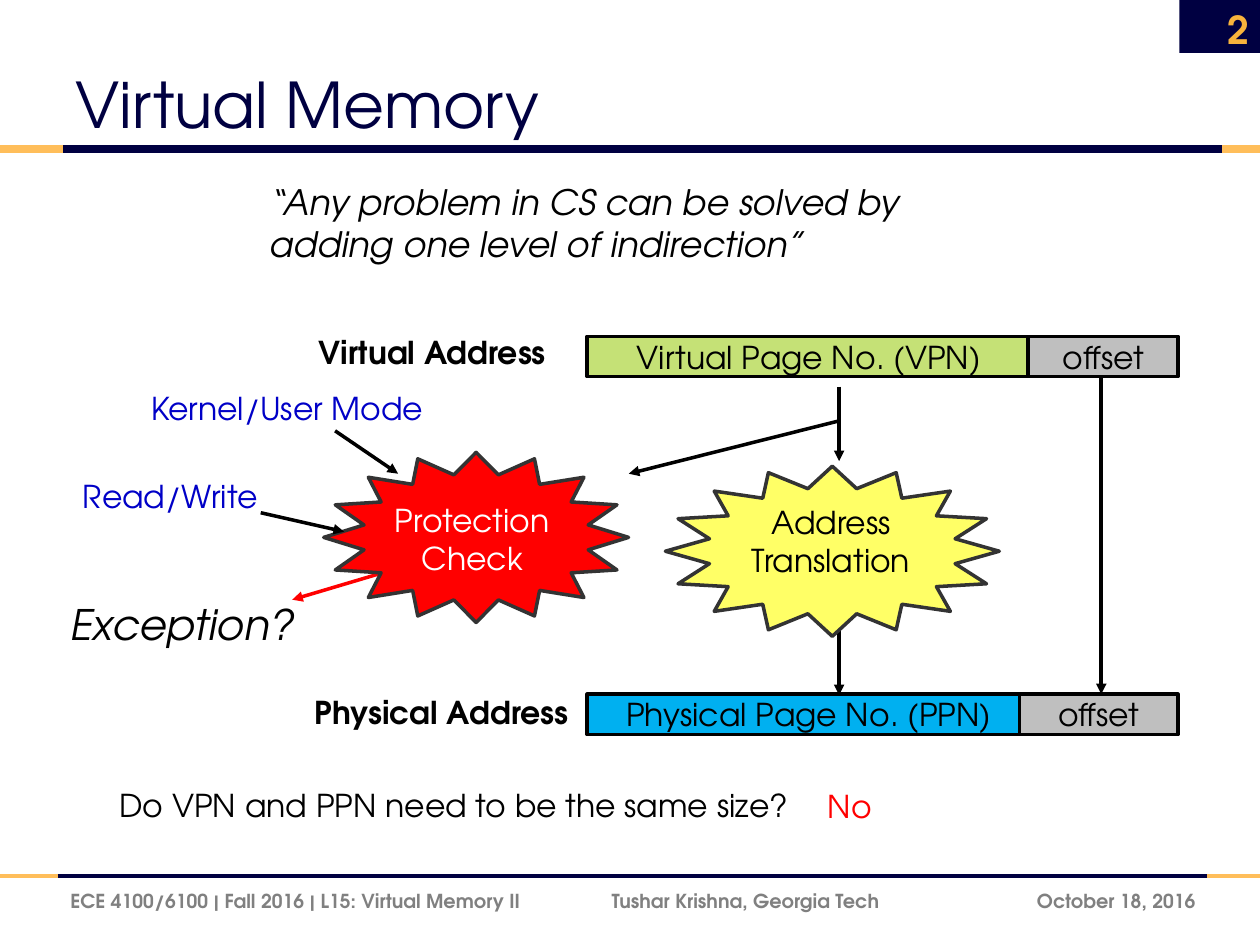
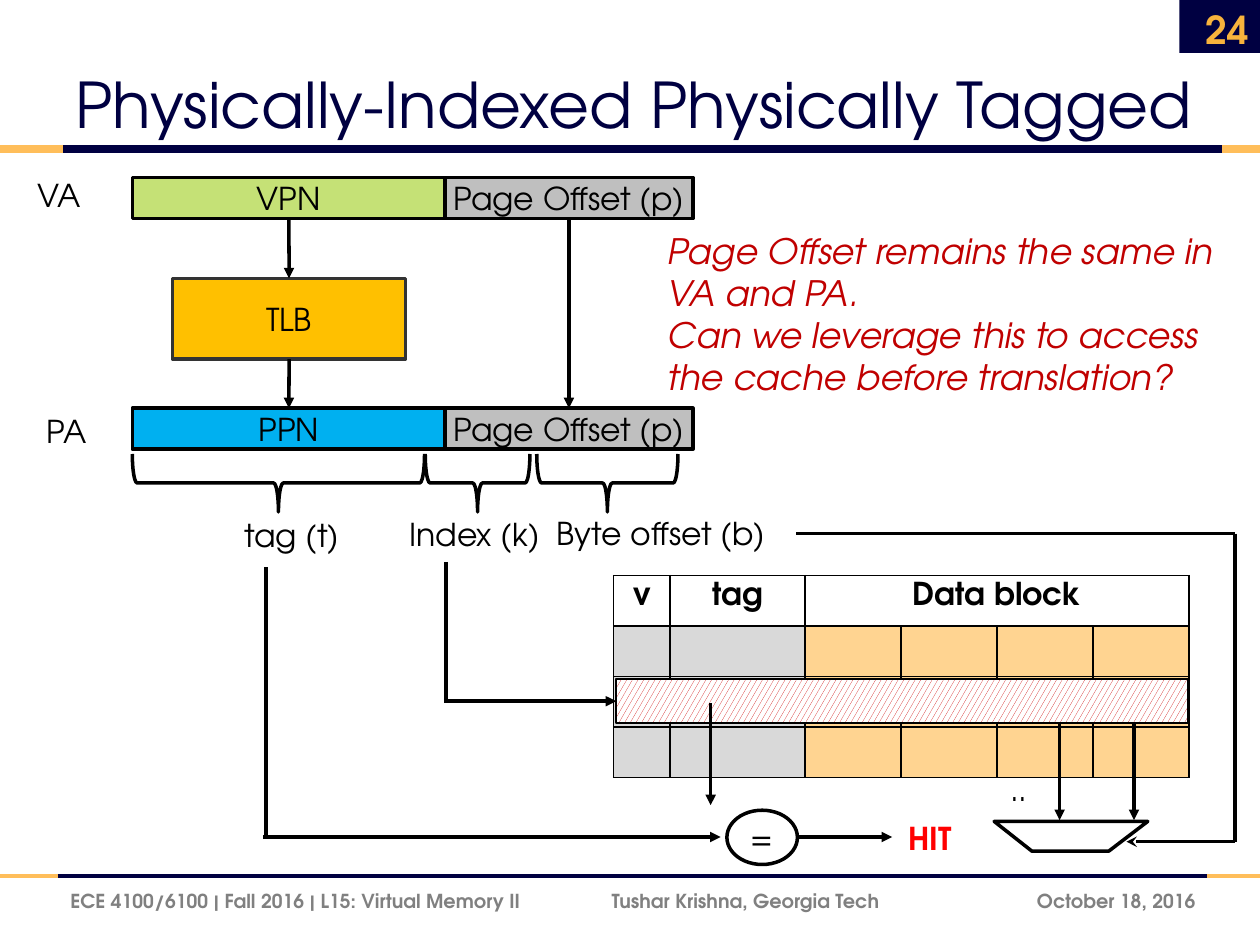
from itertools import pairwise

from lxml.etree import SubElement
from pptx import Presentation
from pptx.dml.color import RGBColor
from pptx.enum.dml import MSO_PATTERN
from pptx.enum.shapes import MSO_CONNECTOR, MSO_SHAPE as SHAPE
from pptx.enum.text import MSO_ANCHOR as ANCHOR, PP_ALIGN as ALIGN
from pptx.oxml.ns import qn
from pptx.util import Pt

FONT = "TeX Gyre Adventor"
NAVY = RGBColor(0x00, 0x00, 0x41)
GOLD = RGBColor(0xFF, 0xBE, 0x5A)
NUMBER_GOLD = RGBColor(0xF8, 0xB3, 0x3C)
FOOTER_GRAY = RGBColor(0x80, 0x80, 0x80)
BLACK = RGBColor(0x00, 0x00, 0x00)
WHITE = RGBColor(0xFF, 0xFF, 0xFF)
DARK = RGBColor(0x33, 0x33, 0x33)
RED = RGBColor(0xFF, 0x00, 0x00)
DEEP_RED = RGBColor(0xC0, 0x00, 0x00)
BLUE = RGBColor(0x00, 0x00, 0xC7)
GREEN = RGBColor(0xC5, 0xE1, 0x76)
SKY = RGBColor(0x00, 0xB0, 0xF0)
GRAY = RGBColor(0xBF, 0xBF, 0xBF)
YELLOW = RGBColor(0xFF, 0xFF, 0x66)
AMBER = RGBColor(0xFF, 0xC0, 0x00)
TAG_GRAY = RGBColor(0xD9, 0xD9, 0xD9)
DATA_ORANGE = RGBColor(0xFF, 0xD4, 0x91)
HATCH_RED = RGBColor(0xD0, 0x10, 0x10)

TOP, LEFT, BOTTOM = 0, 1, 2  # connection sites of a rectangle


def write(tf, text, size=18, color=BLACK, bold=False, italic=False,
          align=ALIGN.LEFT, anchor=ANCHOR.TOP, wrap=True):
    """Fill a text frame; each line of the text becomes a paragraph."""
    tf.word_wrap = wrap
    tf.vertical_anchor = anchor
    for i, words in enumerate(text.split("\n")):
        p = tf.add_paragraph() if i else tf.paragraphs[0]
        p.alignment = align
        r = p.add_run()
        r.text = words
        f = r.font
        f.name, f.size, f.bold, f.italic = FONT, Pt(size), bold, italic
        f.color.rgb = color


def label(s, text, x, y, w, h=28.8, **fmt):
    write(s.shapes.add_textbox(Pt(x), Pt(y), Pt(w), Pt(h)).text_frame, text, **fmt)


def outline(sp, fill, color=BLACK, width=2):
    sp.shadow.inherit = False
    if fill is None:
        sp.fill.background()
    else:
        sp.fill.solid()
        sp.fill.fore_color.rgb = fill
    if color is None:
        sp.line.fill.background()
    else:
        sp.line.color.rgb = color
        sp.line.width = Pt(width)


def box(s, x, y, w, h, fill, text="", kind=SHAPE.RECTANGLE, line_color=BLACK):
    sp = s.shapes.add_shape(kind, Pt(x), Pt(y), Pt(w), Pt(h))
    outline(sp, fill, line_color)
    if text:
        write(sp.text_frame, text, align=ALIGN.CENTER, anchor=ANCHOR.MIDDLE, wrap=False)
    return sp


def star(s, x, y, w, fill):
    sp = box(s, x, y, w, 97.2, fill, kind=SHAPE.STAR_16_POINT, line_color=DARK)
    sp.adjustments[0] = 0.375


def line(s, x1, y1, x2, y2, color=BLACK, width=2, head=None):
    c = s.shapes.add_connector(MSO_CONNECTOR.STRAIGHT, Pt(x1), Pt(y1), Pt(x2), Pt(y2))
    c.line.color.rgb = color
    c.line.width = Pt(width)
    spPr = c.element.spPr
    if head:
        SubElement(spPr.find(qn("a:ln")), qn("a:tailEnd"), type=head)
    SubElement(spPr, qn("a:effectLst"))
    return c


def arrow(s, *ends, color=BLACK, head="triangle"):
    return line(s, *ends, color=color, head=head)


def arrow_down(s, upper, lower):
    """Join the bottom of one rectangle to the top of another."""
    c = arrow(s, 0, 0, 0, 0)
    c.begin_connect(upper, BOTTOM)
    c.end_connect(lower, TOP)


def brace(s, x1, x2):
    """Brace under the span x1 to x2, pointing down."""
    depth, span, mid_y = 33.1, x2 - x1, 276
    sp = box(s, (x1 + x2 - depth) / 2, mid_y - span / 2, depth, span, None,
             kind=SHAPE.RIGHT_BRACE)
    sp.rotation = 90
    sp.adjustments[0] = 0.083


def rule(s, y, stops, width):
    for (x1, x2), color in zip(pairwise(stops), (GOLD, NAVY, GOLD)):
        line(s, x1, y, x2, y, color, width)


def new_slide(prs, title, number):
    s = prs.slides.add_slide(prs.slide_layouts[6])
    box(s, 673.9, 0, 46.1, 30.2, NAVY, line_color=None)
    rule(s, 85, (0, 36, 698.4, 720), 4.5)
    rule(s, 500.4, (0, 33.1, 689.8, 720), 2.25)
    label(s, title, 36, 12.2, 673.2, 72, size=36, color=NAVY, anchor=ANCHOR.BOTTOM)
    footer = dict(size=11, color=FOOTER_GRAY, bold=True, anchor=ANCHOR.MIDDLE)
    label(s, "ECE 4100/6100 | Fall 2016 | L15: Virtual Memory II", 33.1, 500.4, 300, **footer)
    label(s, "Tushar Krishna, Georgia Tech", 342.5, 500.4, 200, **footer)
    label(s, "October 18, 2016", 552.2, 500.4, 138.2, align=ALIGN.RIGHT, **footer)
    label(s, str(number), 672.5, 2.2, 48.2, size=22, color=NUMBER_GOLD, bold=True,
          align=ALIGN.RIGHT, anchor=ANCHOR.MIDDLE)
    return s


def set_borders(cell, sides):
    tcPr = cell._tc.get_or_add_tcPr()
    for side in "LRTB":
        ln = SubElement(tcPr, qn(f"a:ln{side}"), w=str(Pt(1)))
        if side in sides:
            SubElement(SubElement(ln, qn("a:solidFill")), qn("a:srgbClr"), val=str(BLACK))
        else:
            SubElement(ln, qn("a:noFill"))


def cache_table(s):
    widths = [69.8, 32.4, 77] + [54.9] * 4
    row_h, rows = 28.8, 4
    table = s.shapes.add_table(rows, len(widths), Pt(280.8), Pt(329), Pt(sum(widths)),
                               Pt(row_h * rows)).table
    table.first_row = table.horz_banding = False
    for col, w in zip(table.columns, widths):
        col.width = Pt(w)
    body = [WHITE] + [TAG_GRAY] * 2 + [DATA_ORANGE] * 4
    for i, row in enumerate(table.rows):
        row.height = Pt(row_h)
        for j, cell in enumerate(row.cells):
            set_borders(cell, "LRTB" if j else "R")
            cell.fill.solid()
            cell.fill.fore_color.rgb = body[j] if i else WHITE
    table.cell(0, 3).merge(table.cell(0, 6))
    for j, head in enumerate(("v", "tag", "Data block"), 1):
        write(table.cell(0, j).text_frame, head, bold=True, align=ALIGN.CENTER)


def virtual_memory(prs):
    s = new_slide(prs, "Virtual Memory", 2)
    label(s, "“Any problem in CS can be solved by adding one level of indirection”",
          146.9, 99.4, 380.2, 55.4, size=20, italic=True)

    label(s, "Virtual Address", 175, 186.5, 147.6, bold=True)
    label(s, "Physical Address", 172.8, 392.4, 162, bold=True)
    arrow(s, 227.5, 324.7, 167, 342.7, color=RED)
    arrow(s, 479.5, 355, 479.5, 397.2)
    for y, page, fill, offset_x in ((192.2, "Virtual Page No. (VPN)", GREEN, 587.5),
                                    (396.7, "Physical Page No. (PPN)", SKY, 582.5)):
        box(s, 335.5, y, 253.4, 23, fill, page)
        box(s, offset_x, y, 673.2 - offset_x, 23, GRAY, "offset")

    star(s, 380.2, 266.4, 190.8, YELLOW)
    label(s, "Address\nTranslation", 420.5, 284, 108.7, 51.8, align=ALIGN.CENTER)
    star(s, 185, 258.5, 174.2, RED)
    label(s, "Protection\nCheck", 217.4, 283, 105.1, 51.1, color=WHITE, align=ALIGN.CENTER)
    for ends in ((629.3, 216, 629.3, 396.7), (479.5, 221, 479.5, 263.5),
                 (479.5, 240.5, 359.3, 270.7), (149, 293, 196.6, 303.8),
                 (191.5, 246.2, 227.5, 270.7)):
        arrow(s, *ends)

    label(s, "Kernel/User Mode", 79.2, 218.9, 174.2, color=BLUE)
    label(s, "Read/Write", 40.3, 269.3, 137.5, color=BLUE)
    label(s, "Exception?", 33.1, 338.4, 146.2, 36, size=24, italic=True)
    label(s, "Do VPN and PPN need to be the same size?", 61.2, 445.7, 409.7)
    label(s, "No", 465.8, 446.4, 61.2, color=RED)


def physically_indexed(prs):
    s = new_slide(prs, "Physically-Indexed Physically Tagged", 24)

    # Address translation
    fields = []
    for y, page, fill in ((101.5, "VPN", GREEN), (233.3, "PPN", SKY)):
        fields.append((box(s, 75.6, y, 179, 23.4, fill, page),
                       box(s, 254.2, y, 141.8, 23.4, GRAY, "Page Offset (p)")))
    (vpn, va_offset), (ppn, pa_offset) = fields
    tlb = box(s, 98.6, 159.1, 133.2, 46.1, AMBER, "TLB", line_color=DARK)
    arrow_down(s, vpn, tlb)
    arrow_down(s, tlb, ppn)
    arrow_down(s, va_offset, pa_offset)
    label(s, "VA", 14.4, 97.2, 77.8)
    label(s, "PA", 19.4, 231.8, 77.8)
    label(s, "Page Offset remains the same in VA and PA.\n"
             "Can we leverage this to access the cache before translation?",
          374.4, 127.4, 342, 104.4, size=20, color=DEEP_RED, italic=True)

    # Fields of the physical address
    for x1, x2 in ((75.6, 242.6), (243, 302.8), (306.7, 387.4)):
        brace(s, x1, x2)
    label(s, "tag (t)", 132.5, 291.6, 78.5)
    label(s, "Index (k)", 226.8, 290.9, 100.8)
    label(s, "Byte offset (b)", 311, 290.2, 149.8)

    # Cache lookup
    cache_table(s)
    hit_row = box(s, 352.1, 388.1, 326.9, 25.2, WHITE)
    hit_row.line.width = Pt(1)
    hit_row.fill.patterned()
    hit_row.fill.pattern = MSO_PATTERN.LARGE_CONFETTI
    hit_row.fill.fore_color.rgb = HATCH_RED
    hit_row.fill.back_color.rgb = WHITE
    line(s, 254.9, 321.1, 254.9, 400.7)
    arrow(s, 253.9, 400.7, 352.1, 400.7).end_connect(hit_row, LEFT)

    # Tag comparison
    box(s, 415.4, 463, 40.3, 31, WHITE, "=", kind=SHAPE.OVAL)
    arrow(s, 406.1, 401.8, 406.1, 460.1)
    line(s, 151.9, 324, 151.9, 478.3)
    arrow(s, 150.5, 478.3, 411.8, 478.3)
    arrow(s, 455.8, 478.3, 509.8, 478.3)
    label(s, "HIT", 511.9, 464.4, 46, color=RED, bold=True)

    # Byte selection
    builder = s.shapes.build_freeform(Pt(568.1), Pt(469.4))
    builder.add_line_segments([(Pt(x), Pt(y)) for x, y in
                               ((589.7, 486.4), (633.6, 486.4), (655.9, 469.4))])
    outline(builder.convert_to_shape(), WHITE)
    line(s, 455, 305, 705.6, 305)
    line(s, 705.6, 305, 705.6, 481)
    arrow(s, 705.6, 481, 643.7, 481, head="stealth")
    for x in (605.5, 648):
        arrow(s, x, 413.3, x, 468.7)
    label(s, "..", 570.2, 436.3, 40.3)


def main():
    prs = Presentation()
    prs.slide_width, prs.slide_height = Pt(720), Pt(540)
    virtual_memory(prs)
    physically_indexed(prs)
    prs.save("out.pptx")


if __name__ == "__main__":
    main()
